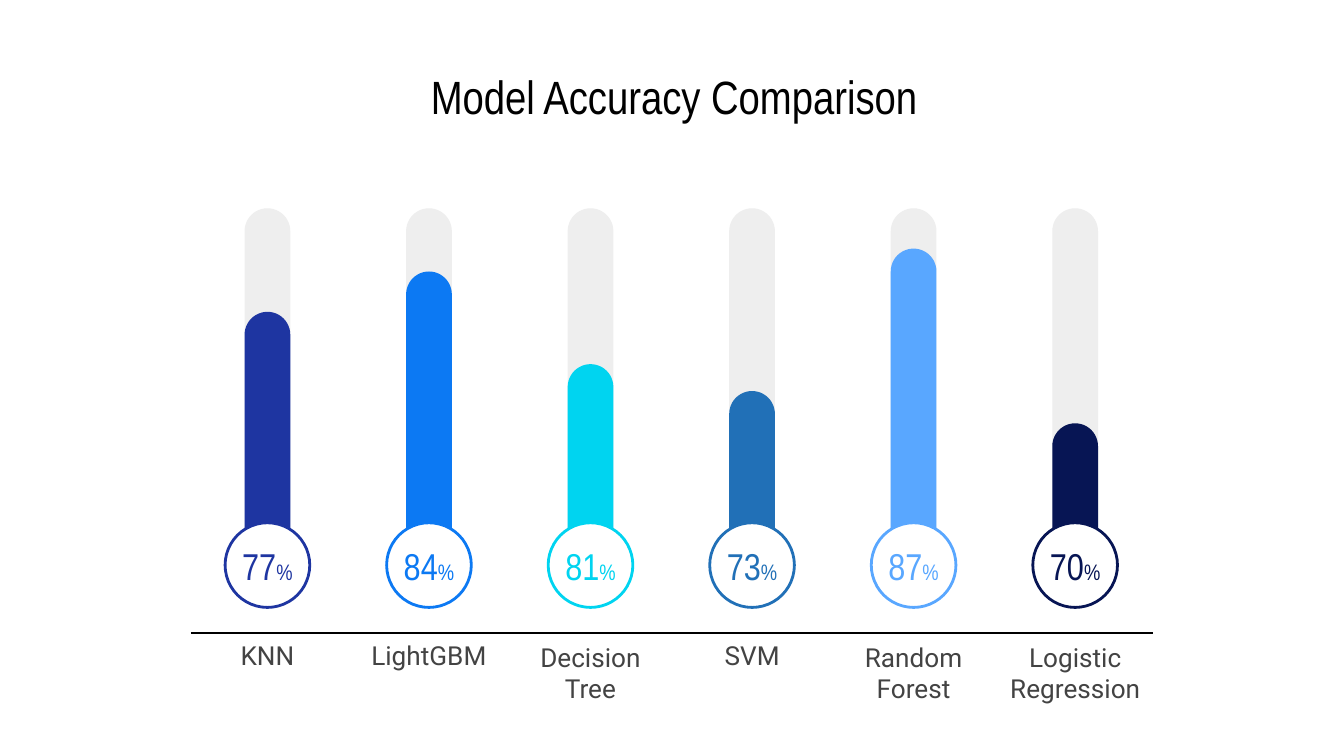
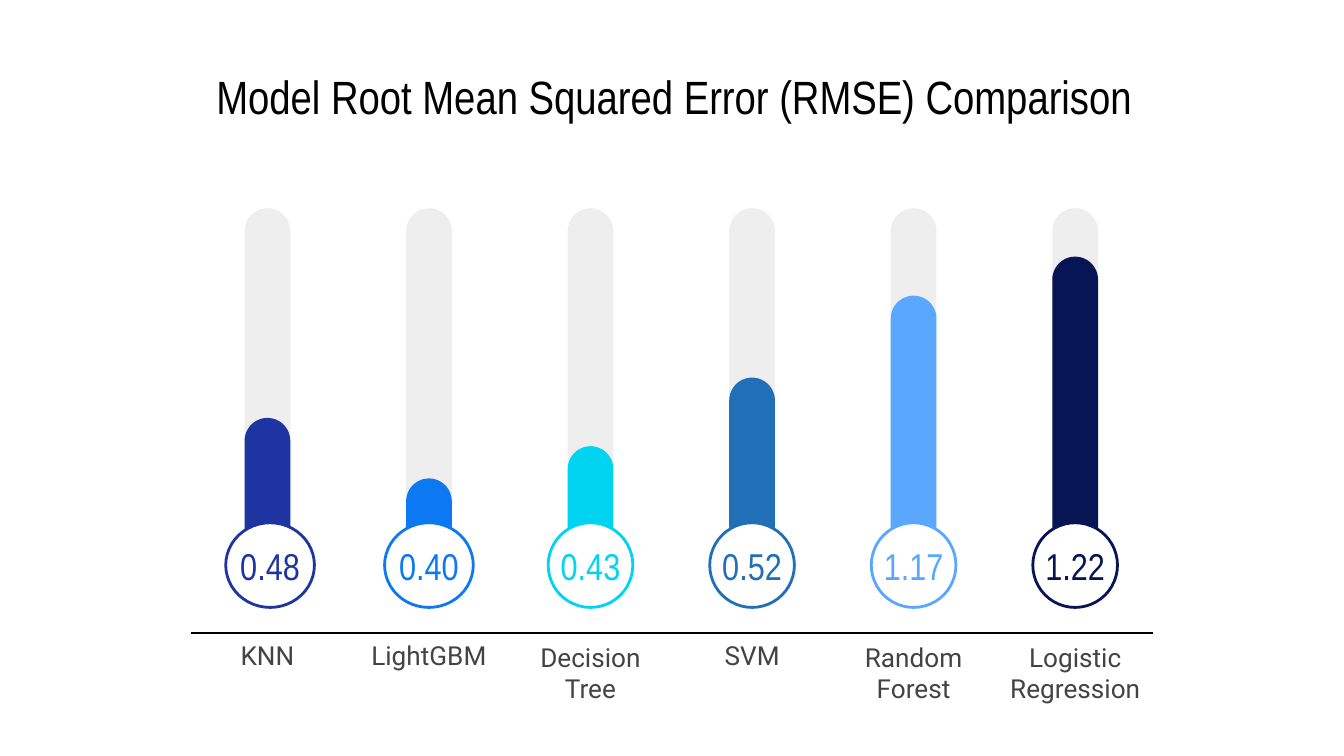
from lxml.etree import SubElement
from pptx import Presentation
from pptx.dml.color import RGBColor
from pptx.enum.shapes import MSO_CONNECTOR, MSO_SHAPE
from pptx.enum.text import MSO_ANCHOR, MSO_AUTO_SIZE, PP_ALIGN
from pptx.oxml.ns import qn
from pptx.util import Inches, Pt

BLACK = RGBColor(0x00, 0x00, 0x00)
WHITE = RGBColor(0xFF, 0xFF, 0xFF)
TRACK = RGBColor(0xEE, 0xEE, 0xEE)
LABEL = RGBColor(0x43, 0x43, 0x43)
HEAD_FONT, BODY_FONT = "Arial Narrow", "Roboto"

# name, colour, label width
MODELS = [
    ("KNN", RGBColor(0x1E, 0x35, 0xA1), 0.69),
    ("LightGBM", RGBColor(0x0C, 0x79, 0xF3), 1.06),
    ("Decision Tree", RGBColor(0x00, 0xD4, 0xF0), 0.97),
    ("SVM", RGBColor(0x21, 0x70, 0xB7), 0.69),
    ("Random Forest", RGBColor(0x59, 0xA7, 0xFF), 0.97),
    ("Logistic Regression", RGBColor(0x07, 0x15, 0x54), 1.25),
]

# title, unit, one (value, bar height, bulb width, bulb shift) per model
SLIDES = [
    ("Model Accuracy Comparison", "%",
     [("77", 1.99, 0.63, 0), ("84", 2.29, 0.63, 0), ("81", 1.6, 0.63, 0),
      ("73", 1.4, 0.63, 0), ("87", 2.46, 0.63, 0), ("70", 1.16, 0.63, 0)]),
    ("Model Root Mean Squared Error (RMSE) Comparison", "",
     [("0.48", 1.2, 0.66, 0.02), ("0.40", 0.75, 0.66, 0), ("0.43", 0.99, 0.63, 0),
      ("0.52", 1.5, 0.63, 0), ("1.17", 2.11, 0.63, 0), ("1.22", 2.4, 0.63, 0)]),
]

FIRST_X, LAST_X = 1.99, 8.0
BAR_W, TRACK_H, BAR_BOTTOM = 0.34, 2.76, 4.31
BULB_TOP, BULB_H = 3.89, 0.63
AXIS_Y, AXIS_LEFT, AXIS_RIGHT = 4.71, 1.42, 8.58
LABEL_H, TWO_LINE_DROP = 0.33, 0.13


def write(tf, runs, font, color, side=0.1, wrap=True):
    """Fill a text frame with one centred paragraph of (text, size) runs."""
    tf.auto_size = MSO_AUTO_SIZE.NONE
    tf.word_wrap = wrap
    tf.vertical_anchor = MSO_ANCHOR.MIDDLE
    tf.margin_left = tf.margin_right = Inches(side)
    tf.margin_top = tf.margin_bottom = Inches(0.1)
    p = tf.paragraphs[0]
    p.alignment = PP_ALIGN.CENTER
    for text, size in runs:
        r = p.add_run()
        r.text = text
        r.font.name, r.font.size = font, Pt(size)
        r.font.color.rgb = color


def add_filled(shapes, kind, x, top, w, h, fill):
    """Add a borderless shape centred on x."""
    sp = shapes.add_shape(kind, Inches(x - w / 2), Inches(top), Inches(w), Inches(h))
    sp.shadow.inherit = False
    sp.fill.solid()
    sp.fill.fore_color.rgb = fill
    sp.line.fill.background()
    return sp


def add_gauge(shapes, x, height, color):
    group = shapes.add_group_shape()
    for h, fill in ((TRACK_H, TRACK), (height, color)):
        bar = add_filled(group.shapes, MSO_SHAPE.ROUNDED_RECTANGLE,
                         x, BAR_BOTTOM - h, BAR_W, h, fill)
        bar.adjustments[0] = 0.5


def add_bulb(shapes, x, width, value, unit, color):
    bulb = add_filled(shapes, MSO_SHAPE.OVAL, x, BULB_TOP, width, BULB_H, WHITE)
    bulb.line.color.rgb = color
    bulb.line.width = Pt(1.5)
    runs = [(value, 20)] + ([(unit, 12)] if unit else [])
    write(bulb.text_frame, runs, HEAD_FONT, color, side=0, wrap=False)


def add_label(shapes, x, name, width):
    two_lines = " " in name
    top = AXIS_Y + (TWO_LINE_DROP if two_lines else 0)
    box = shapes.add_textbox(Inches(x - width / 2), Inches(top),
                             Inches(width), Inches(LABEL_H))
    write(box.text_frame, [(name, 14)], BODY_FONT, LABEL, wrap=two_lines)


def add_axis(shapes):
    axis = shapes.add_connector(MSO_CONNECTOR.STRAIGHT, Inches(AXIS_LEFT), Inches(AXIS_Y),
                                Inches(AXIS_RIGHT), Inches(AXIS_Y))
    axis.line.color.rgb = BLACK
    axis.line.width = Pt(0.75)
    SubElement(axis.element.spPr, qn("a:effectLst"))


def add_comparison(prs, title, unit, results):
    s = prs.slides.add_slide(prs.slide_layouts[5])
    head = s.shapes.title
    head.left, head.top = Inches(0.53), Inches(0.45)
    head.width, head.height = Inches(8.97), Inches(0.53)
    write(head.text_frame, [(title, 25)], HEAD_FONT, BLACK)

    pitch = (LAST_X - FIRST_X) / (len(MODELS) - 1)
    for i, (model, result) in enumerate(zip(MODELS, results)):
        name, color, label_w = model
        value, height, bulb_w, shift = result
        x = FIRST_X + i * pitch
        add_gauge(s.shapes, x, height, color)
        add_bulb(s.shapes, x + shift, bulb_w, value, unit, color)
        add_label(s.shapes, x, name, label_w)
    add_axis(s.shapes)


def main():
    prs = Presentation()
    prs.slide_width = Inches(10)
    prs.slide_height = prs.slide_width * 9 // 16
    for title, unit, results in SLIDES:
        add_comparison(prs, title, unit, results)
    prs.save("out.pptx")


if __name__ == "__main__":
    main()
